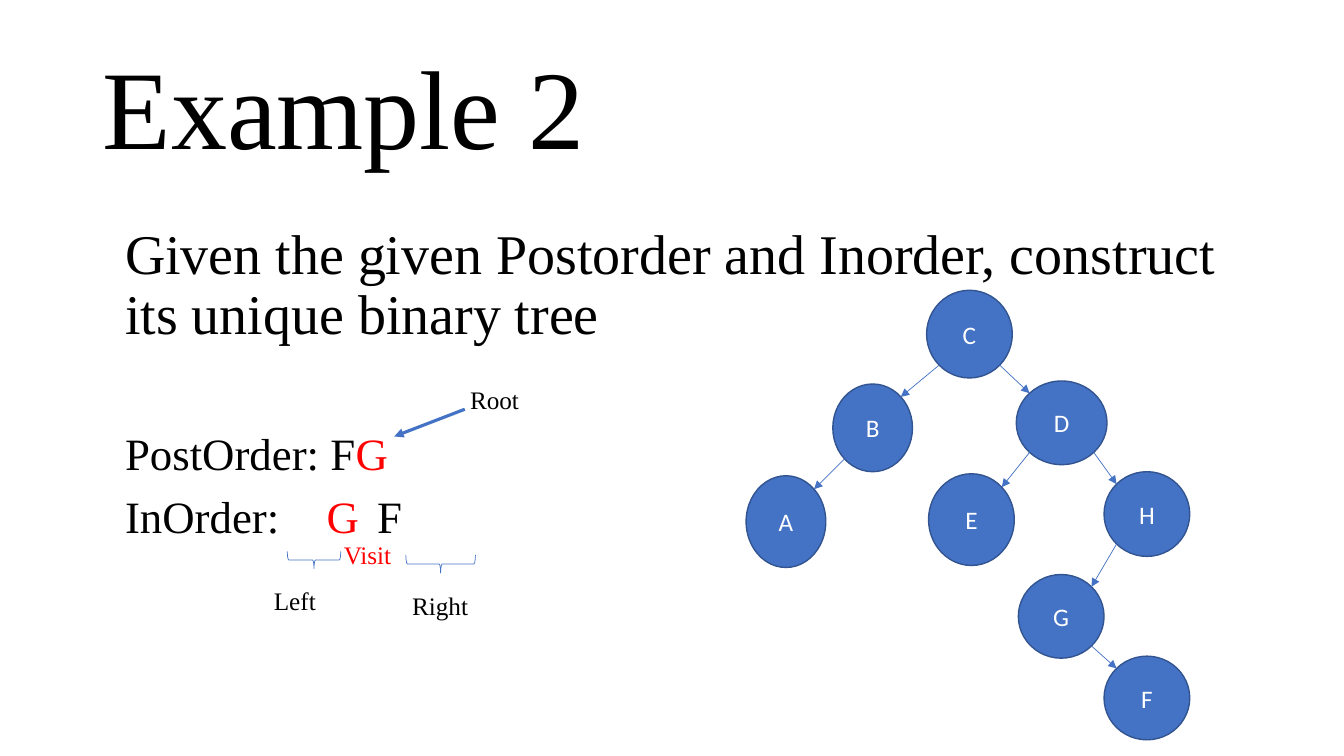
from dataclasses import dataclass
from math import cos, pi

from lxml import etree
from pptx import Presentation
from pptx.dml.color import RGBColor
from pptx.enum.shapes import MSO_CONNECTOR, MSO_SHAPE
from pptx.enum.text import MSO_ANCHOR, MSO_AUTO_SIZE, PP_ALIGN
from pptx.oxml.ns import qn
from pptx.util import Inches, Pt

STRAIGHT = MSO_CONNECTOR.STRAIGHT
RECTANGLE, OVAL, BRACE = MSO_SHAPE.RECTANGLE, MSO_SHAPE.OVAL, MSO_SHAPE.LEFT_BRACE
TOP, MIDDLE = MSO_ANCHOR.TOP, MSO_ANCHOR.MIDDLE
LEFT, CENTER = PP_ALIGN.LEFT, PP_ALIGN.CENTER
NO_AUTOFIT = MSO_AUTO_SIZE.NONE


@dataclass(frozen=True)
class Theme:
    black: str = "000000"
    white: str = "FFFFFF"
    red: str = "FF0000"
    blue: str = "4472C4"
    node_edge: str = "325491"
    serif: str = "Times New Roman"
    sans: str = "Calibri"
    title: int = 80
    task: int = 40
    order: int = 32
    label: int = 18


def write(paragraph, text, *, size, font, color, align=LEFT):
    """Append text to a paragraph in the given format."""
    paragraph.alignment = align
    run = paragraph.add_run()
    run.text = text
    run.font.size = Pt(size)
    run.font.name = font
    run.font.color.rgb = RGBColor.from_string(color)


class TreeSlide:
    def __init__(self, slide, theme):
        self.slide, self.theme = slide, theme

    def placeholder(self, index, box, anchor):
        holder = self.slide.placeholders[index]
        holder.left, holder.top, holder.width, holder.height = map(Inches, box)
        frame = holder.text_frame
        frame.word_wrap = True
        frame.auto_size = NO_AUTOFIT
        frame.vertical_anchor = anchor
        return frame

    def title(self, text, box):
        paragraph = self.placeholder(0, box, MIDDLE).paragraphs[0]
        paragraph.line_spacing = 0.9
        write(paragraph, text, size=self.theme.title, font=self.theme.serif,
              color=self.theme.black)

    def body(self, lines, box):
        """Each line is (space before, size, tab stops, [(text, color), ...])."""
        frame = self.placeholder(1, box, TOP)
        for number, (space, size, tabs, parts) in enumerate(lines):
            paragraph = frame.add_paragraph() if number else frame.paragraphs[0]
            properties = paragraph._p.get_or_add_pPr()
            properties.set("marL", "0")
            properties.set("indent", "0")
            etree.SubElement(properties, qn("a:buNone"))
            if tabs:
                stops = etree.SubElement(properties, qn("a:tabLst"))
                for stop in tabs:
                    etree.SubElement(stops, qn("a:tab"), pos=str(Inches(stop)), algn="l")
            paragraph.line_spacing = 0.9
            paragraph.space_before = Pt(space)
            for text, color in parts:
                write(paragraph, text, size=size, font=self.theme.serif, color=color)

    def shape(self, kind, box, fill, line, line_width):
        shape = self.slide.shapes.add_shape(kind, *map(Inches, box))
        shape.shadow.inherit = False
        if fill:
            shape.fill.solid()
            shape.fill.fore_color.rgb = RGBColor.from_string(fill)
        else:
            shape.fill.background()
        shape.line.color.rgb = RGBColor.from_string(line)
        shape.line.width = Pt(line_width)
        return shape

    def caption(self, shape, text, font, color):
        shape.text_frame.vertical_anchor = MIDDLE
        write(shape.text_frame.paragraphs[0], text, size=self.theme.label,
              font=font, color=color, align=CENTER)

    def label(self, text, box, color, behind=False):
        shape = self.shape(RECTANGLE, box, self.theme.white, self.theme.white, 1)
        self.caption(shape, text, self.theme.serif, color)
        if behind:
            self.slide.shapes._spTree.insert(2, shape._element)

    def brace(self, box):
        self.shape(BRACE, box, None, self.theme.blue, 0.5).rotation = 270

    def node(self, letter, box):
        shape = self.shape(OVAL, box, self.theme.blue, self.theme.node_edge, 1)
        self.caption(shape, letter, self.theme.sans, self.theme.white)

    def arrow(self, start, end, width):
        line = self.slide.shapes.add_connector(STRAIGHT, *map(Inches, (*start, *end)))
        line.line.color.rgb = RGBColor.from_string(self.theme.blue)
        line.line.width = Pt(width)
        etree.SubElement(line.line._get_or_add_ln(), qn("a:tailEnd"), type="triangle")
        etree.SubElement(line._element.spPr, qn("a:effectLst"))


def diagonal_point(box, across, down):
    """Point on an ellipse at 45 degrees; across and down are -1 or 1."""
    left, top, width, height = box
    reach = cos(pi / 4)
    return left + width / 2 * (1 + across * reach), top + height / 2 * (1 + down * reach)


def main():
    deck = Presentation()
    deck.slide_width, deck.slide_height = Inches(13.33), Inches(7.5)
    theme = Theme()
    page = TreeSlide(deck.slides.add_slide(deck.slide_layouts[1]), theme)

    # Title and task
    page.title("Example 2", (0.92, 0.4, 11.5, 1.45))
    task = "Given the given Postorder and Inorder, construct its unique binary tree"
    page.body([
        (0, theme.task, (), [(task, theme.black)]),
        (61, theme.order, (), [("PostOrder: F", theme.black), ("G", theme.red)]),
        (10, theme.order, (2.3, 2.95),
         [("InOrder:\t", theme.black), ("G\t", theme.red), ("F", theme.black)]),
    ], (1.14, 2.19, 11.5, 4.76))

    # Notes on the two orders
    page.label("Visit", (3.25, 5.25, 0.79, 0.51), theme.red, behind=True)
    page.label("Root", (4.51, 3.71, 0.79, 0.51), theme.black)
    page.arrow((4.61, 4.06), (3.91, 4.33), 2.25)
    page.brace((4.28, 5.25, 0.18, 0.69))
    page.brace((3.03, 5.29, 0.17, 0.53))
    page.label("Left", (2.59, 5.7, 0.67, 0.51), theme.black)
    page.label("Right", (3.97, 5.75, 0.79, 0.51), theme.black)

    # Binary tree
    nodes = {
        "C": (9.19, 2.88, 0.85, 0.87),
        "D": (10.08, 3.78, 0.9, 0.83),
        "B": (8.26, 3.81, 0.79, 0.87),
        "E": (9.21, 4.7, 0.85, 0.91),
        "H": (10.95, 4.68, 0.85, 0.84),
        "A": (7.4, 4.72, 0.79, 0.91),
        "G": (10.1, 5.7, 0.85, 0.83),
        "F": (10.95, 6.51, 0.85, 0.83),
    }
    for letter, box in nodes.items():
        page.node(letter, box)
    for parent, child in ("CB", "CD", "BA", "DE", "DH", "HG", "GF"):
        side = 1 if nodes[child][0] > nodes[parent][0] else -1
        page.arrow(diagonal_point(nodes[parent], side, 1),
                   diagonal_point(nodes[child], -side, -1), 0.5)

    deck.save("out.pptx")


if __name__ == "__main__":
    main()
